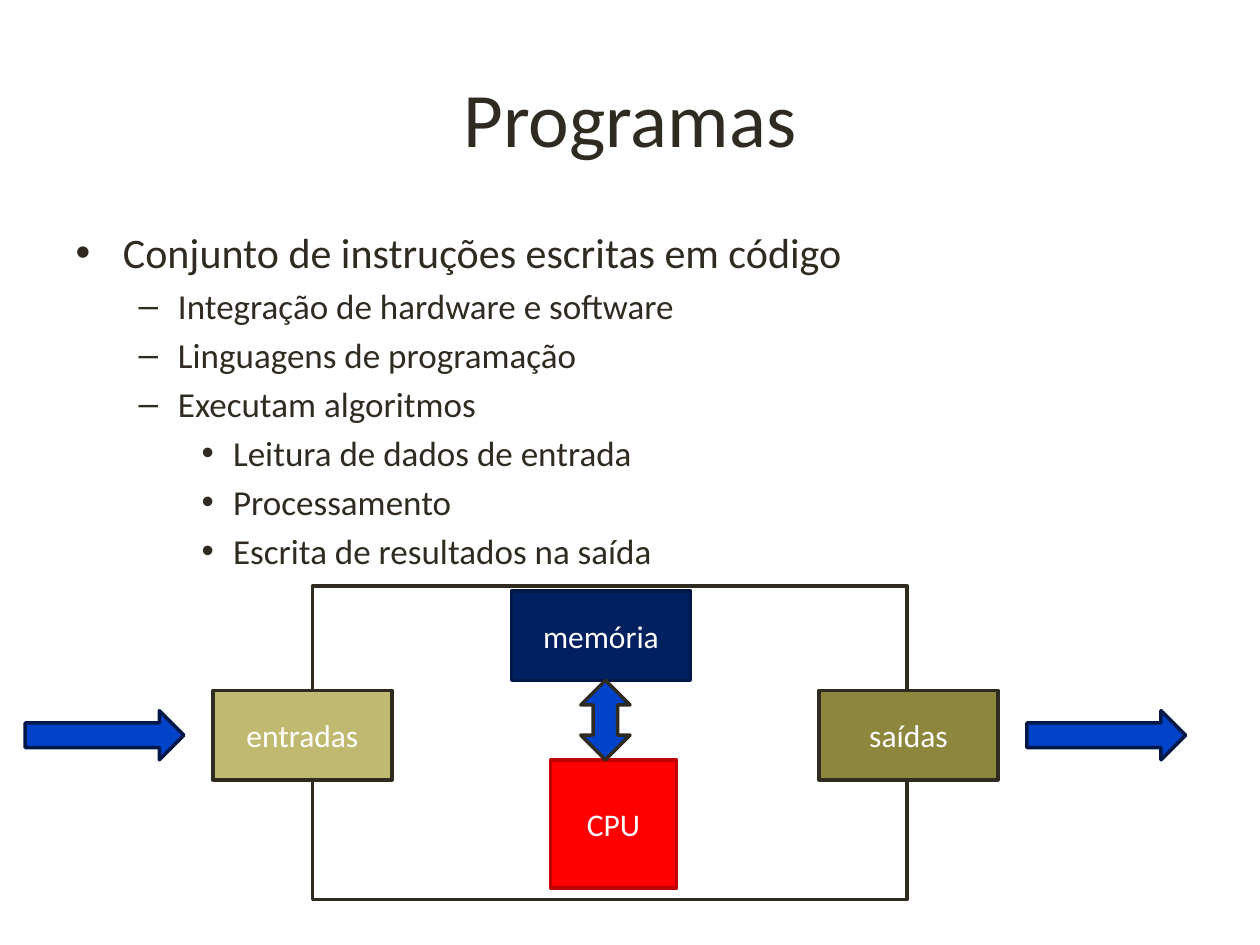
"""Build the slide about programs with a hardware diagram."""
import pptx
import pptx.dml.color
import pptx.enum.shapes
import pptx.enum.text
import pptx.util

Inches = pptx.util.Inches
Pt = pptx.util.Pt
SHAPES = pptx.enum.shapes.MSO_SHAPE
TEXT = pptx.enum.text

INK = "2F2B20"
NAVY = "001847"
BLUE = "0042C8"
WHITE = "FFFFFF"

TOPICS = [
    (0, "Conjunto de instruções escritas em código"),
    (1, "Integração de hardware e software"),
    (1, "Linguagens de programação"),
    (1, "Executam algoritmos"),
    (2, "Leitura de dados de entrada"),
    (2, "Processamento"),
    (2, "Escrita de resultados na saída"),
]
BOXES = [
    ("", (2.48, 4.65, 4.72, 2.49), None, INK),
    ("CPU", (4.37, 6.03, 1, 1.02), "FF0000", "BD0000"),
    ("memória", (4.06, 4.69, 1.42, 0.71), "002060", NAVY),
    ("entradas", (1.69, 5.48, 1.42, 0.71), "C0BA71", INK),
    ("saídas", (6.5, 5.48, 1.42, 0.71), "8D873E", INK),
]
ARROWS = [
    (SHAPES.RIGHT_ARROW, (0.2, 5.64, 1.26, 0.39), NAVY),
    (SHAPES.RIGHT_ARROW, (8.15, 5.64, 1.26, 0.39), NAVY),
    (SHAPES.UP_DOWN_ARROW, (4.61, 5.4, 0.39, 0.63), INK),
]


def color(value):
    """Turn a hex string into a colour."""
    return pptx.dml.color.RGBColor.from_string(value)


def apply_format(target, values):
    """Set each attribute in a dict of format values."""
    for name, value in values.items():
        setattr(target, name, value)


def write_paragraph(paragraph, text, size, ink, **values):
    """Fill one paragraph and format it."""
    paragraph.text = text
    apply_format(paragraph, values)
    apply_format(paragraph.font, {"name": "Calibri", "size": Pt(size)})
    paragraph.font.color.rgb = color(ink)


def place(shape, box):
    """Move a placeholder to a box given in inches."""
    names = ("left", "top", "width", "height")
    apply_format(shape, dict(zip(names, map(Inches, box))))


def add_title(slide, text):
    """Fill the title placeholder."""
    title = slide.shapes.title
    place(title, (0.5, 0.3, 9, 1.25))
    title.text_frame.vertical_anchor = TEXT.MSO_ANCHOR.MIDDLE
    write_paragraph(title.text_frame.paragraphs[0], text, 44, INK,
                    alignment=TEXT.PP_ALIGN.CENTER)


def add_topics(slide, topics):
    """Fill the body placeholder with the multilevel list."""
    body = slide.placeholders[1]
    place(body, (0.5, 1.75, 9, 4.95))
    frame = body.text_frame
    frame.auto_size = TEXT.MSO_AUTO_SIZE.NONE
    for index, (level, text) in enumerate(topics):
        paragraph = frame.add_paragraph() if index else frame.paragraphs[0]
        write_paragraph(paragraph, text, 20 if level else 24, INK, level=level)
    frame.paragraphs[0].space_before = Pt(0)


def add_figure(slide, kind, box, fill, outline):
    """Add an outlined preset shape, hollow when it has no fill."""
    shape = slide.shapes.add_shape(kind, *map(Inches, box))
    shape.shadow.inherit = False
    if fill:
        shape.fill.solid()
        shape.fill.fore_color.rgb = color(fill)
    else:
        shape.fill.background()
    shape.line.color.rgb = color(outline)
    shape.line.width = Pt(2)
    return shape


def add_box(slide, text, box, fill, outline):
    """Add a rectangle with an optional centred label."""
    shape = add_figure(slide, SHAPES.RECTANGLE, box, fill, outline)
    if text:
        shape.text_frame.vertical_anchor = TEXT.MSO_ANCHOR.MIDDLE
        write_paragraph(shape.text_frame.paragraphs[0], text, 18, WHITE,
                        alignment=TEXT.PP_ALIGN.CENTER)


def main():
    """Build and save the presentation."""
    presentation = pptx.Presentation()
    apply_format(presentation, {"slide_width": Inches(10), "slide_height": Inches(7.5)})
    slide = presentation.slides.add_slide(presentation.slide_layouts[1])
    add_title(slide, "Programas")
    add_topics(slide, TOPICS)
    for text, box, fill, outline in BOXES:
        add_box(slide, text, box, fill, outline)
    for kind, box, outline in ARROWS:
        add_figure(slide, kind, box, BLUE, outline)
    presentation.save("out.pptx")


if __name__ == "__main__":
    main()
